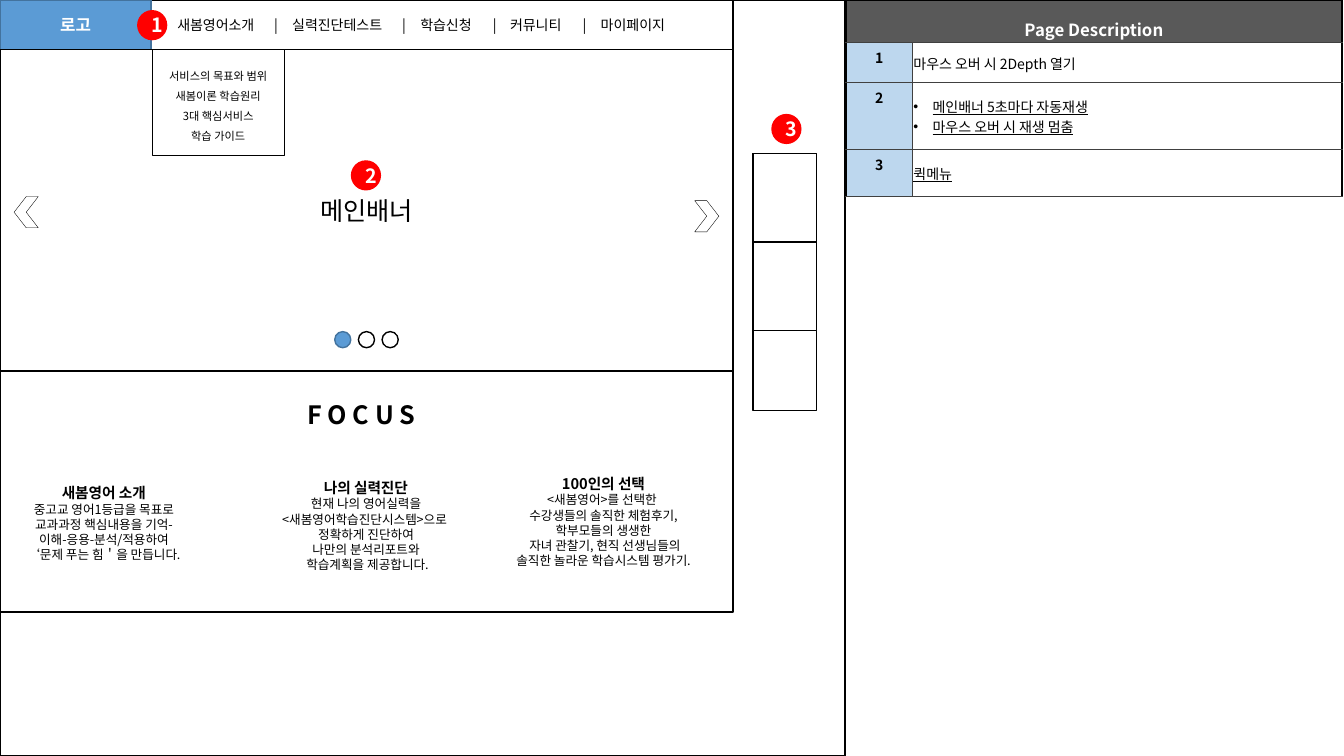
import copy
import pptx
import pptx.util
import pptx.dml.color
import pptx.enum.shapes
import pptx.enum.text
import pptx.oxml.ns
import lxml.etree

Inches, Pt = pptx.util.Inches, pptx.util.Pt
Kind = pptx.enum.shapes.MSO_SHAPE
Align = pptx.enum.text.PP_ALIGN
Anchor = pptx.enum.text.MSO_ANCHOR

FONT = "Noto Sans CJK KR"
COLORS = {"black": "000000", "white": "FFFFFF", "blue": "5B9BD5", "navy": "43739E",
          "pale": "BDD7EE", "gray": "595959", "rule": "404040", "red": "FF0000"}

LOGO = "로고"
MENU = ["새봄영어소개", "실력진단테스트", "학습신청", "커뮤니티", "마이페이지"]
MENU_STOPS = [0.96, 1.14, 2.23, 2.41, 3.13, 3.3, 4.02, 4.2]
SUBMENU = ["서비스의 목표와 범위", "새봄이론 학습원리", "3대 핵심서비스", "학습 가이드"]
BANNER = "메인배너"
FOCUS = "F\u00a0O\u00a0C\u00a0U\u00a0S"
ARTICLES = [
    ((0.14, 4.75, 1.78, 0.88),
     ["새봄영어 소개", "중고교 영어1등급을 목표로", "교과과정 핵심내용을 기억-",
      "이해-응용-분석/적용하여", "‘문제 푸는 힘＇을 만듭니다."]),
    ((2.6, 4.7, 2.06, 1.04),
     ["나의 실력진단", "현재 나의 영어실력을\n<새봄영어학습진단시스템>으로 ",
      "정확하게 진단하여\n나만의 분석리포트와", " 학습계획을 제공합니다."]),
    ((4.92, 4.66, 2.13, 1.04),
     ["100인의 선택", "<새봄영어>를 선택한 ", "수강생들의 솔직한 체험후기,\n학부모들의 생생한",
      " 자녀 관찰기, 현직 선생님들의\n솔직한 놀라운 학습시스템 평가기."]),
]
TABLE_TITLE = "Page Description"
NOTES = [
    (["마우스 오버 시 2Depth 열기"], {}),
    (["메인배너 5초마다 자동재생", "마우스 오버 시 재생 멈춤"], {"underline": True, "bullet": True}),
    (["퀵메뉴"], {"underline": True}),
]
BADGES = [(1.36, 0.1), (3.48, 1.59), (7.65, 1.13)]

PAGE_WIDTH, SITE_WIDTH, LOGO_WIDTH = 8.38, 7.27, 1.5
HEADER_BOTTOM, BANNER_BOTTOM, FOCUS_BOTTOM = 0.49, 3.68, 6.07
QUICK_LEFT, QUICK_TOP, QUICK_WIDTH, QUICK_HEIGHT, QUICK_STEP = 7.47, 1.52, 0.63, 2.55, 0.88
DOT_SIZE, DOT_LEFT, DOT_STEP = 0.16, 3.32, 0.235
COLUMNS, ROWS = [0.66, 4.26], [0.42, 0.4, 0.66, 0.47]

deck = pptx.Presentation()
deck.slide_width, deck.slide_height = Inches(13.33), Inches(7.5)
page = deck.slides.add_slide(deck.slide_layouts[6])


def rgb(name):
    return pptx.dml.color.RGBColor.from_string(COLORS[name])


def child(parent, tag, **attributes):
    return lxml.etree.SubElement(parent, pptx.oxml.ns.qn(tag), attributes)


def write(frame, lines, size=10, color="black", bold=False, underline=None, align=Align.CENTER,
          spacing=None, heading=None, bullet=False, stops=()):
    for index, line in enumerate(lines):
        para = frame.paragraphs[0] if index == 0 else frame.add_paragraph()
        para.text = line
        para.alignment = align
        if spacing:
            para.line_spacing = spacing
        is_heading = heading and index == 0
        for span in para.runs:
            font = span.font
            font.size = Pt(heading if is_heading else size)
            font.bold = bool(bold or is_heading)
            font.underline = underline
            font.color.rgb = rgb(color)
            font.name = FONT
            child(font._element, "a:ea", typeface=FONT)
        for line_break in para._p.findall(pptx.oxml.ns.qn("a:br")):
            line_break.append(copy.deepcopy(para.runs[0].font._element))
        properties = para._p.get_or_add_pPr()
        if bullet:
            properties.set("marL", str(Inches(0.19)))
            properties.set("indent", str(-Inches(0.19)))
            child(properties, "a:buFont", typeface="Arial")
            child(properties, "a:buChar", char="•")
        if stops:
            tabs = child(properties, "a:tabLst")
            for stop in stops:
                child(tabs, "a:tab", pos=str(Inches(stop)), algn="l")


def draw(kind, place, fill="white", line="black", weight=1, lines=(), **style):
    shape = page.shapes.add_shape(kind, *map(Inches, place))
    shape.shadow.inherit = False
    shape.fill.solid()
    shape.fill.fore_color.rgb = rgb(fill)
    if line:
        shape.line.color.rgb = rgb(line)
        shape.line.width = Pt(weight)
    else:
        shape.line.fill.background()
    shape.text_frame.vertical_anchor = Anchor.MIDDLE
    write(shape.text_frame, lines, **style)
    return shape


def label(place, lines, wrap=False, **style):
    box = page.shapes.add_textbox(*map(Inches, place))
    box.text_frame.word_wrap = wrap
    box.text_frame.auto_size = pptx.enum.text.MSO_AUTO_SIZE.SHAPE_TO_FIT_TEXT
    write(box.text_frame, lines, **style)


def dress(cell, fill, insets, borders):
    cell.margin_left, cell.margin_top, cell.margin_right, cell.margin_bottom = map(Inches, insets)
    properties = cell._tc.get_or_add_tcPr()
    for side, color in zip("LRTB", borders):
        weight = Pt(1 if color == "black" else 0.75)
        edge = child(properties, "a:ln" + side, w=str(weight))
        child(child(edge, "a:solidFill"), "a:srgbClr", val=COLORS[color])
    if fill:
        cell.fill.solid()
        cell.fill.fore_color.rgb = rgb(fill)
    else:
        cell.fill.background()


draw(Kind.RECTANGLE, (0, 0, PAGE_WIDTH, 7.5))
draw(Kind.RECTANGLE, (0, 0, SITE_WIDTH, HEADER_BOTTOM))
draw(Kind.RECTANGLE, (0, 0, LOGO_WIDTH, HEADER_BOTTOM), "blue", "navy",
     lines=[LOGO], size=12, color="white", bold=True)
label((1.66, 0.11, 5.55, 0.27), ["\t|\t".join(MENU)], wrap=True, align=Align.LEFT, stops=MENU_STOPS)

draw(Kind.RECTANGLE, (0, HEADER_BOTTOM, SITE_WIDTH, BANNER_BOTTOM - HEADER_BOTTOM),
     lines=[BANNER], size=18)
for index, (fill, line) in enumerate([("blue", "navy"), ("white", "black"), ("white", "black")]):
    draw(Kind.OVAL, (DOT_LEFT + index * DOT_STEP, 3.29, DOT_SIZE, DOT_SIZE), fill, line)
for left, top, angle in [(6.89, 1.99, 0), (0.14, 1.95, 180)]:
    draw(Kind.CHEVRON, (left, top, 0.24, 0.31), weight=0.25).rotation = angle
draw(Kind.RECTANGLE, (1.51, HEADER_BOTTOM, 1.31, 1.05), lines=SUBMENU, size=8, spacing=1.5)

draw(Kind.RECTANGLE, (0, BANNER_BOTTOM, SITE_WIDTH, FOCUS_BOTTOM - BANNER_BOTTOM))
label((2.95, 3.91, 1.38, 0.4), [FOCUS], size=18, bold=True, align=Align.LEFT)
for place, lines in ARTICLES:
    label(place, lines, size=9, heading=10.5)

draw(Kind.RECTANGLE, (QUICK_LEFT, QUICK_TOP, QUICK_WIDTH, QUICK_HEIGHT))
for index in range(2):
    draw(Kind.RECTANGLE, (QUICK_LEFT, QUICK_TOP + index * QUICK_STEP, QUICK_WIDTH, QUICK_STEP))

table = page.shapes.add_table(len(ROWS), len(COLUMNS), Inches(8.39), 0,
                              Inches(sum(COLUMNS)), Inches(sum(ROWS))).table
table.first_row = table.horz_banding = False
for column, width in zip(table.columns, COLUMNS):
    column.width = Inches(width)
for row, height in zip(table.rows, ROWS):
    row.height = Inches(height)
title = table.cell(0, 0)
title.merge(table.cell(0, 1))
for cell in table.rows[0].cells:
    dress(cell, "gray", (0.04, 0.05, 0.04, 0.05), ("black", "black", "black", "rule"))
write(title.text_frame, [TABLE_TITLE], size=12, color="white", bold=True, spacing=1.5)
for number, (lines, style) in enumerate(NOTES, 1):
    key, note = table.rows[number].cells
    dress(key, "pale", (0.05, 0.05, 0.05, 0.05), ("black", "rule", "rule", "rule"))
    write(key.text_frame, [str(number)], bold=True)
    dress(note, None, (0.01, 0.01, 0.01, 0), ("rule", "black", "rule", "rule"))
    note.vertical_anchor = Anchor.MIDDLE
    write(note.text_frame, lines, align=Align.LEFT, **style)

for number, (left, top) in enumerate(BADGES, 1):
    draw(Kind.OVAL, (left, top, 0.3, 0.3), "red", None,
         lines=[str(number)], size=14, color="white", bold=True)

deck.save("out.pptx")
